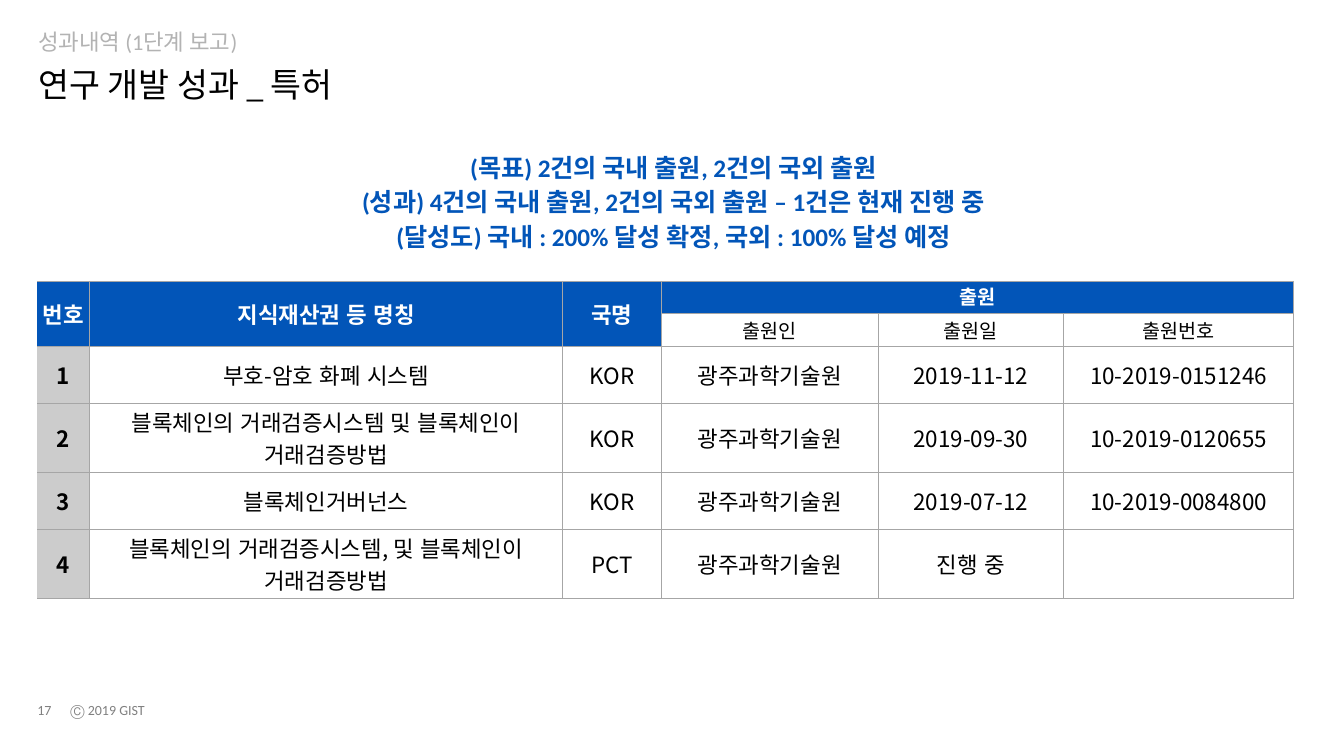
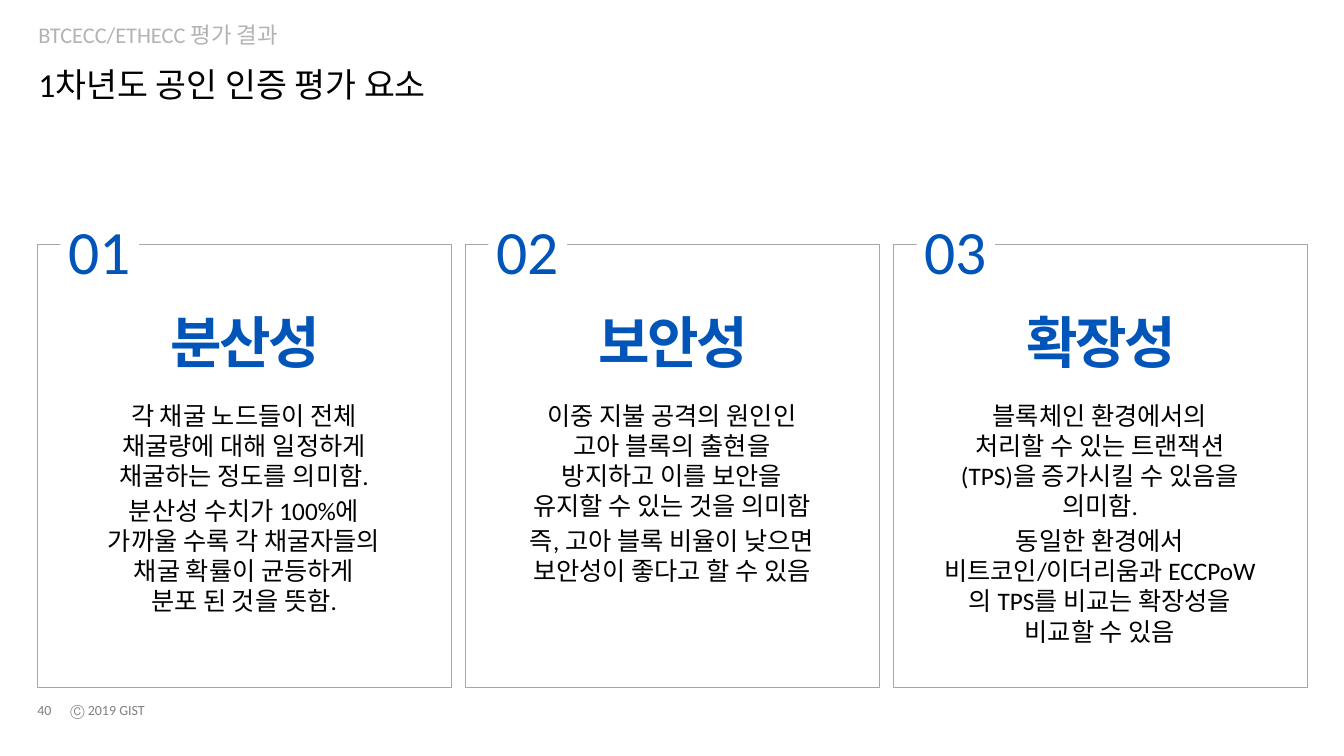
import pptx
import pptx.util
from pptx.dml.color import RGBColor
from pptx.enum.lang import MSO_LANGUAGE_ID
from pptx.enum.shapes import MSO_SHAPE
from pptx.enum.text import MSO_ANCHOR, MSO_AUTO_SIZE, PP_ALIGN
from pptx.oxml.ns import qn
from lxml import etree

Inches, Pt = pptx.util.Inches, pptx.util.Pt

BLUE, BLACK, WHITE = "0255B8", "000000", "FFFFFF"
RULE_GRAY, KICKER_GRAY, FOOTER_GRAY, INDEX_GRAY = "A6A6A6", "B3B3B3", "808080", "CCCCCC"
LATIN, KOREAN = "Calibri", "Noto Sans CJK KR"
LEFT, CONTENT_W = 0.37, 12.6
DEFAULT_INSETS = (0.1, 0.05, 0.1, 0.05)

COLUMN_WIDTHS = [0.52, 4.69, 0.98, 2.15, 1.84, 2.28]
ROW_HEIGHTS = [0.32, 0.29, 0.57, 0.57, 0.57, 0.57]
PATENT_ROWS = [
    ["번호", "지식재산권 등 명칭", "국명", "출원", "", ""],
    ["", "", "", "출원인", "출원일", "출원번호"],
    ["1", "부호-암호 화폐 시스템", "KOR", "광주과학기술원", "2019-11-12", "10-2019-0151246"],
    ["2", "블록체인의 거래검증시스템 및 블록체인이 거래검증방법", "KOR", "광주과학기술원",
     "2019-09-30", "10-2019-0120655"],
    ["3", "블록체인거버넌스", "KOR", "광주과학기술원", "2019-07-12", "10-2019-0084800"],
    ["4", "블록체인의 거래검증시스템, 및 블록체인이 거래검증방법", "PCT", "광주과학기술원",
     "진행 중", ""],
]
SUMMARY = [
    "(목표) 2건의 국내 출원, 2건의 국외 출원",
    "(성과) 4건의 국내 출원, 2건의 국외 출원 – 1건은 현재 진행 중",
    "(달성도) 국내 : 200% 달성 확정, 국외 : 100% 달성 예정",
]
# heading, height of the description, paragraphs
CRITERIA = [
    ("분산성", 2.26, [
        "각 채굴 노드들이 전체\n채굴량에 대해 일정하게\n채굴하는 정도를 의미함.",
        "분산성 수치가 100%에\n가까울 수록 각 채굴자들의 채굴 확률이 균등하게\n분포 된 것을 뜻함."]),
    ("보안성", 1.96, [
        "이중 지불 공격의 원인인\n고아 블록의 출현을\n방지하고 이를 보안을\n유지할 수 있는 것을 의미함",
        "즉, 고아 블록 비율이 낮으면 보안성이 좋다고 할 수 있음"]),
    ("확장성", 2.57, [
        "블록체인 환경에서의\n처리할 수 있는 트랜잭션\n(TPS)을 증가시킬 수 있음을\n의미함.",
        "동일한 환경에서 비트코인/이더리움과 ECCPoW의 TPS를 비교는 확장성을\n비교할 수 있음"]),
]


def rgb(color):
    return RGBColor.from_string(color)


def add_run(p, text, size, color, bold=False, font=LATIN, tracking=None):
    r = p.add_run()
    r.text = text
    r.font.size = Pt(size)
    r.font.bold = bold
    r.font.name = font
    r.font.color.rgb = rgb(color)
    r.font.language_id = MSO_LANGUAGE_ID.KOREAN
    rPr = r.font._element
    etree.SubElement(rPr, qn("a:ea")).set("typeface", font)
    if tracking:
        rPr.set("spc", str(int(tracking * 100)))


def write(tf, paragraphs, size, color, align=PP_ALIGN.LEFT, line_spacing=None, **style):
    """Fill a text frame; a newline inside a paragraph becomes a line break."""
    for i, text in enumerate(paragraphs):
        p = tf.add_paragraph() if i else tf.paragraphs[0]
        p.alignment = align
        p.space_before = Pt(3 if i else 0)
        if line_spacing:
            p.line_spacing = line_spacing
        for n, line in enumerate(text.split("\n")):
            if n:
                p.add_line_break()
            add_run(p, line, size, color, **style)


def set_frame(tf, anchor=MSO_ANCHOR.TOP, wrap=True, insets=DEFAULT_INSETS,
              auto_size=MSO_AUTO_SIZE.NONE):
    tf.word_wrap = wrap
    tf.auto_size = auto_size
    tf.vertical_anchor = anchor
    tf.margin_left, tf.margin_top, tf.margin_right, tf.margin_bottom = map(Inches, insets)


def add_text(s, box, paragraphs, size, color, frame=None, **style):
    tf = s.shapes.add_textbox(*map(Inches, box)).text_frame
    set_frame(tf, **(frame or {}))
    write(tf, paragraphs, size, color, **style)


def add_rect(s, box, fill=None, line=None):
    sp = s.shapes.add_shape(MSO_SHAPE.RECTANGLE, *map(Inches, box))
    sp.shadow.inherit = False
    if fill:
        sp.fill.solid()
        sp.fill.fore_color.rgb = rgb(fill)
    else:
        sp.fill.background()
    if line:
        sp.line.color.rgb = rgb(line)
        sp.line.width = Pt(0.75)
    else:
        sp.line.fill.background()
    return sp


def fill_placeholder(ph, box, text, size, color, anchor):
    ph.left, ph.top, ph.width, ph.height = map(Inches, box)
    set_frame(ph.text_frame, anchor, insets=(0, 0.05, 0.1, 0.05))
    write(ph.text_frame, [text], size, color, line_spacing=0.9)


def add_slide(prs, number, title, kicker, kicker_top):
    """Add a slide with its title, the grey line above it and the footer."""
    s = prs.slides.add_slide(prs.slide_layouts.get_by_name("Section Header"))
    fill_placeholder(s.shapes.title, (0.38, 0.63, CONTENT_W, 0.46), title, 24, BLACK,
                     MSO_ANCHOR.TOP)
    fill_placeholder(s.placeholders[1], (0.38, kicker_top, CONTENT_W, 0.34), kicker, 16,
                     KICKER_GRAY, MSO_ANCHOR.BOTTOM)
    footer = {"anchor": MSO_ANCHOR.MIDDLE, "wrap": False}
    add_text(s, (0.6, 6.91, 0.95, 0.27), ["Ⓒ 2019 GIST"], 10, FOOTER_GRAY, footer)
    add_text(s, (LEFT, 6.92, 0.39, 0.24), [str(number)], 10, FOOTER_GRAY,
             {**footer, "insets": (0, 0, 0, 0)})
    return s


def set_borders(cell, sides):
    tcPr = cell._tc.get_or_add_tcPr()
    for side in "LRTB":
        ln = etree.SubElement(tcPr, qn(f"a:ln{side}"))
        ln.set("w", str(Pt(0.75)))
        if side in sides:
            fill = etree.SubElement(ln, qn("a:solidFill"))
            etree.SubElement(fill, qn("a:srgbClr")).set("val", RULE_GRAY)
        else:
            etree.SubElement(ln, qn("a:noFill"))


def cell_style(row, col):
    """Return fill, text colour, size, bold and font for a table position."""
    if row == 0 or (row == 1 and col < 3):
        group_head = col >= 3
        return BLUE, WHITE, 14 if group_head else 16, True, LATIN if group_head else KOREAN
    if row == 1:
        return WHITE, BLACK, 14, False, KOREAN
    index = col == 0
    return INDEX_GRAY if index else WHITE, BLACK, 16, index, KOREAN


def add_patent_table(s):
    table = s.shapes.add_table(len(ROW_HEIGHTS), len(COLUMN_WIDTHS), Inches(LEFT), Inches(2.79),
                               Inches(sum(COLUMN_WIDTHS)), Inches(sum(ROW_HEIGHTS))).table
    table.first_row = table.horz_banding = False
    for column, width in zip(table.columns, COLUMN_WIDTHS):
        column.width = Inches(width)
    for row, height in zip(table.rows, ROW_HEIGHTS):
        row.height = Inches(height)
    for i, texts in enumerate(PATENT_ROWS):
        for j, text in enumerate(texts):
            cell = table.cell(i, j)
            fill, color, size, bold, font = cell_style(i, j)
            set_borders(cell, "RTB" if j == 0 else "LRTB")
            cell.fill.solid()
            cell.fill.fore_color.rgb = rgb(fill)
            cell.vertical_anchor = MSO_ANCHOR.MIDDLE
            inset = Inches(0 if fill != WHITE or j == 2 else 0.02)
            cell.margin_left = cell.margin_right = inset
            cell.margin_top = cell.margin_bottom = inset
            if text:
                write(cell.text_frame, [text], size, color, PP_ALIGN.CENTER, bold=bold, font=font)
    for j in range(3):
        table.cell(0, j).merge(table.cell(1, j))
    table.cell(0, 3).merge(table.cell(0, 5))


def add_criterion(s, left, number, heading, body_height, paragraphs):
    grow = {"auto_size": MSO_AUTO_SIZE.SHAPE_TO_FIT_TEXT}
    add_text(s, (left + 0.37, 3.92, 3.36, body_height), paragraphs, 18, BLACK, grow,
             align=PP_ALIGN.CENTER)
    badge = add_rect(s, (left + 0.23, 2.11, 0.78, 0.74), fill=WHITE)
    set_frame(badge.text_frame, MSO_ANCHOR.MIDDLE, insets=(0, 0, 0, 0))
    write(badge.text_frame, [f"{number:02}"], 44, BLUE, PP_ALIGN.CENTER)
    add_text(s, (left + 1.15, 3, 1.82, 0.77), [heading], 40, BLUE, {**grow, "wrap": False},
             align=PP_ALIGN.CENTER, bold=True, tracking=-1.5)


def add_criteria(s):
    card_w = 4.11
    pitch = (CONTENT_W - card_w) / (len(CRITERIA) - 1)
    lefts = [LEFT + i * pitch for i in range(len(CRITERIA))]
    for left in lefts:
        add_rect(s, (left, 2.43, card_w, 4.39), line=RULE_GRAY)
    for number, (left, criterion) in enumerate(zip(lefts, CRITERIA), 1):
        add_criterion(s, left, number, *criterion)


def main():
    prs = pptx.Presentation()
    prs.slide_width, prs.slide_height = Inches(13.33), Inches(7.5)

    s = add_slide(prs, 17, "연구 개발 성과 _ 특허", "성과내역 (1단계 보고)", 0.26)
    add_patent_table(s)
    add_text(s, (0.38, 1.46, CONTENT_W, 1.1), SUMMARY, 18, BLUE, align=PP_ALIGN.CENTER, bold=True)

    s = add_slide(prs, 40, "1차년도 공인 인증 평가 요소", "BTCECC/ETHECC 평가 결과", 0.19)
    add_criteria(s)

    prs.save("out.pptx")


if __name__ == "__main__":
    main()
